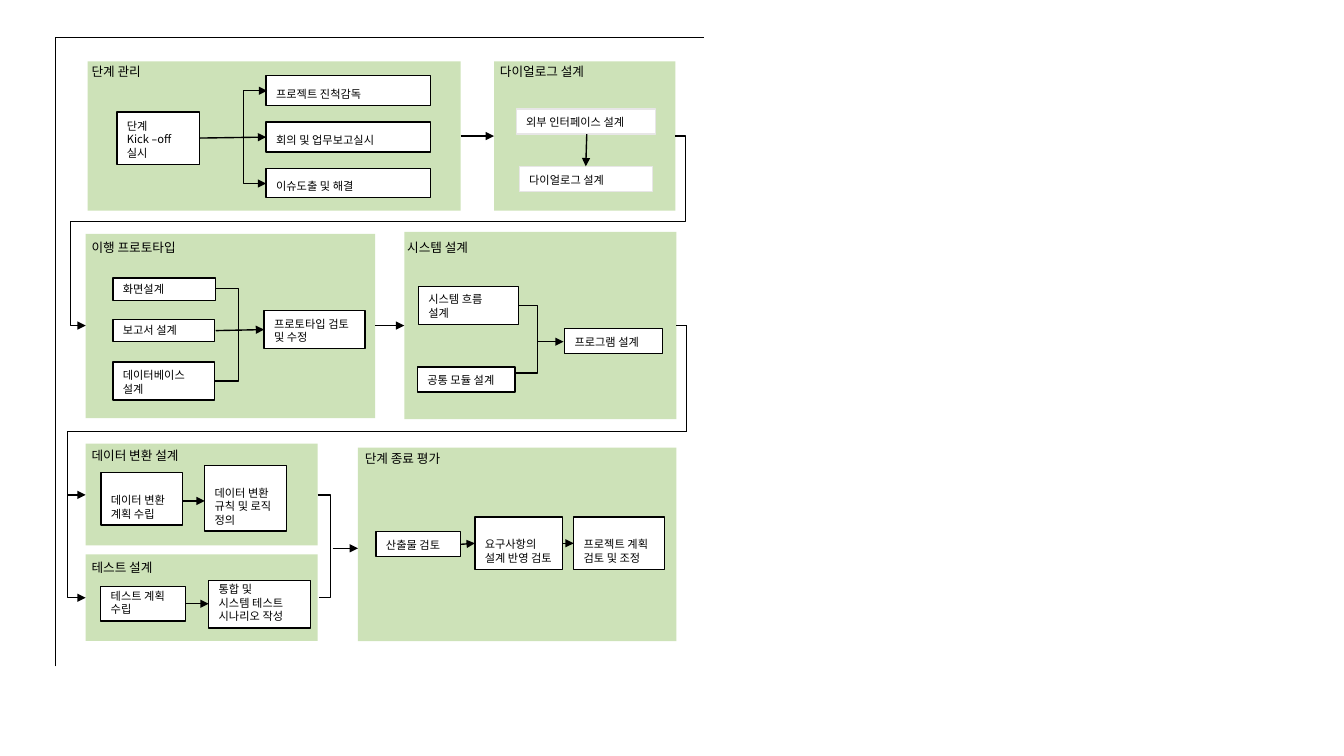
import itertools
from dataclasses import dataclass

import pptx
import pptx.dml.color
import pptx.enum.shapes
import pptx.enum.text
import pptx.oxml.ns
import pptx.slide
import pptx.util
from lxml import etree

Inches = pptx.util.Inches
RGBColor = pptx.dml.color.RGBColor

BLACK = RGBColor(0x00, 0x00, 0x00)
WHITE = RGBColor(0xFF, 0xFF, 0xFF)
GREY = RGBColor(0xE7, 0xE6, 0xE6)
GREEN = RGBColor(0xCD, 0xE2, 0xB8)
KOREAN_FONT = "Noto Sans CJK KR"
DASH_FONT = "DejaVu Sans"


@dataclass(frozen=True)
class Stage:
    title: str
    title_at: tuple[float, float, float]
    area: tuple[float, float, float, float]


@dataclass(frozen=True)
class Task:
    text: str
    area: tuple[float, float, float, float]
    border: RGBColor = BLACK


@dataclass(frozen=True)
class Flow:
    start: tuple[float, float]
    end: tuple[float, float]
    bends: tuple[float, ...] = ()
    head: bool = False
    tail: bool = True


STAGES = [
    Stage("다이얼로그 설계", (4.86, 0.58, 1.12), (4.9, 0.61, 1.8, 1.48)),
    Stage("이행 프로토타입", (0.81, 2.33, 1.12), (0.85, 2.32, 2.87, 1.83)),
    Stage("시스템 설계", (3.94, 2.33, 0.87), (4.01, 2.3, 2.7, 1.86)),
    Stage("단계 관리", (0.81, 0.58, 0.74), (0.87, 0.61, 3.7, 1.48)),
    Stage("단계 종료 평가", (3.52, 4.42, 1.03), (3.55, 4.44, 3.16, 1.92)),
    Stage("데이터 변환 설계", (0.81, 4.39, 1.16), (0.85, 4.4, 2.3, 1.01)),
    Stage("테스트 설계", (0.81, 5.5, 0.87), (0.85, 5.5, 2.3, 0.86)),
]

TASKS = [
    Task("외부 인터페이스 설계", (5.12, 1.08, 1.38, 0.25), GREY),
    Task("다이얼로그 설계", (5.15, 1.65, 1.32, 0.25), GREY),
    Task("데이터베이스\n설계", (1.12, 3.59, 1.01, 0.38)),
    Task("화면설계", (1.12, 2.76, 1.02, 0.22)),
    Task("보고서 설계", (1.12, 3.17, 1.01, 0.22)),
    Task("프로토타입 검토 및 수정", (2.62, 3.08, 1.0, 0.38)),
    Task("단계\nKick –off 실시", (1.16, 1.11, 0.82, 0.52)),
    Task("프로젝트 진척감독", (2.64, 0.75, 1.63, 0.3)),
    Task("회의 및 업무보고실시", (2.64, 1.21, 1.63, 0.3)),
    Task("이슈도출 및 해결", (2.64, 1.67, 1.63, 0.29)),
    Task("시스템 흐름\n설계", (4.15, 2.84, 0.99, 0.38)),
    Task("공통 모듈 설계", (4.14, 3.64, 0.97, 0.25)),
    Task("프로그램 설계", (5.6, 3.26, 0.97, 0.25)),
    Task("산출물 검토", (3.73, 5.27, 0.84, 0.25)),
    Task("요구사항의 설계 반영 검토", (4.71, 5.13, 0.87, 0.52)),
    Task("프로젝트 계획 검토 및 조정", (5.69, 5.13, 0.9, 0.52)),
    Task("데이터 변환 계획 수립", (1.0, 4.69, 0.81, 0.52)),
    Task("데이터 변환 규칙 및 로직 정의", (2.03, 4.62, 0.81, 0.65)),
    Task("테스트 계획 수립", (1.0, 5.82, 0.84, 0.34)),
    Task("통합 및\n시스템 테스트 시나리오 작성", (2.07, 5.76, 1.01, 0.47)),
]

FLOWS = [
    Flow((4.57, 1.35), (4.9, 1.35)),
    Flow((6.7, 1.35), (0.85, 3.23), (6.8, 2.2, 0.7)),
    Flow((6.71, 3.23), (0.85, 4.91), (6.81, 4.28, 0.67)),
    Flow((6.71, 3.23), (0.85, 5.93), (6.81, 4.28, 0.67)),
    Flow((2.65, 0.9), (2.64, 1.82), (2.41,), head=True),
    Flow((1.98, 1.37), (2.64, 1.36)),
    Flow((1.81, 4.97), (2.03, 4.97)),
    Flow((2.14, 2.86), (2.13, 3.78), (2.37,), tail=False),
    Flow((2.14, 3.28), (2.62, 3.27)),
    Flow((5.14, 3.03), (5.11, 3.7), (5.33,), tail=False),
    Flow((5.33, 3.39), (5.59, 3.39)),
    Flow((5.82, 1.33), (5.81, 1.65)),
    Flow((3.72, 3.23), (4.01, 3.23)),
    Flow((4.57, 5.4), (4.71, 5.39)),
    Flow((1.84, 5.99), (2.07, 5.99)),
    Flow((5.58, 5.39), (5.69, 5.39)),
    Flow((3.15, 4.91), (3.16, 5.93), (3.28,), tail=False),
    Flow((3.3, 5.44), (3.55, 5.44)),
]


def write_text(frame: pptx.text.text.TextFrame, text: str, size: float, wrap: bool) -> None:
    """Fill a frame with bottom-anchored paragraphs."""
    frame.word_wrap = wrap
    frame.vertical_anchor = pptx.enum.text.MSO_ANCHOR.BOTTOM
    for index, line in enumerate(text.split("\n")):
        paragraph = frame.add_paragraph() if index else frame.paragraphs[0]
        paragraph.alignment = pptx.enum.text.PP_ALIGN.LEFT
        for is_dash, letters in itertools.groupby(line, key=lambda letter: letter == "–"):
            run = paragraph.add_run()
            run.text = "".join(letters)
            run.font.size = pptx.util.Pt(size)
            run.font.color.rgb = BLACK
            run.font.name = DASH_FONT if is_dash else KOREAN_FONT
            east_asian = etree.SubElement(run.font._element, pptx.oxml.ns.qn("a:ea"))
            east_asian.set("typeface", run.font.name)


def add_box(slide: pptx.slide.Slide, area: tuple[float, ...], fill: RGBColor) -> pptx.shapes.autoshape.Shape:
    """Draw a flat rectangle without a border."""
    box = slide.shapes.add_shape(pptx.enum.shapes.MSO_SHAPE.RECTANGLE, *map(Inches, area))
    box.shadow.inherit = False
    box.fill.solid()
    box.fill.fore_color.rgb = fill
    box.line.fill.background()
    return box


def add_stage(slide: pptx.slide.Slide, stage: Stage) -> None:
    """Draw a green stage panel and its title."""
    add_box(slide, stage.area, GREEN)
    title = slide.shapes.add_textbox(*map(Inches, (*stage.title_at, 0.25)))
    write_text(title.text_frame, stage.title, 9, wrap=False)


def add_task(slide: pptx.slide.Slide, task: Task) -> None:
    """Draw a white task box."""
    box = add_box(slide, task.area, WHITE)
    box.line.color.rgb = task.border
    box.line.width = pptx.util.Pt(1)
    write_text(box.text_frame, task.text, 8, wrap=True)


def add_flow(slide: pptx.slide.Slide, flow: Flow) -> None:
    """Draw a straight or bent connector through its bends."""
    qn = pptx.oxml.ns.qn
    kinds = pptx.enum.shapes.MSO_CONNECTOR
    kind = kinds.ELBOW if flow.bends else kinds.STRAIGHT
    connector = slide.shapes.add_connector(kind, *map(Inches, (*flow.start, *flow.end)))
    connector.line.color.rgb = BLACK
    connector.line.width = pptx.util.Pt(1)
    properties = connector._element.spPr
    etree.SubElement(properties, qn("a:effectLst"))
    if flow.bends:
        geometry = properties.find(qn("a:prstGeom"))
        geometry.set("prst", f"bentConnector{len(flow.bends) + 2}")
        guides = geometry.find(qn("a:avLst"))
        for index, bend in enumerate(flow.bends):
            axis = index % 2
            share = (bend - flow.start[axis]) / (flow.end[axis] - flow.start[axis])
            guide = etree.SubElement(guides, qn("a:gd"))
            guide.set("name", f"adj{index + 1}" if len(flow.bends) > 1 else "adj1")
            guide.set("fmla", f"val {round(share * 100000)}")
    line = properties.find(qn("a:ln"))
    for tag, shown in (("a:headEnd", flow.head), ("a:tailEnd", flow.tail)):
        if shown:
            arrow = etree.SubElement(line, qn(tag))
            arrow.set("type", "triangle")
            arrow.set("w", "med")
            arrow.set("len", "med")


def add_frame(slide: pptx.slide.Slide) -> None:
    """Draw the open frame on the left and top."""
    corner, top = Inches(0.55), Inches(0.37)
    builder = slide.shapes.build_freeform(corner, Inches(6.61))
    builder.add_line_segments([(corner, top), (Inches(6.98), top)], close=False)
    frame = builder.convert_to_shape()
    frame.shadow.inherit = False
    frame.fill.background()
    frame.line.color.rgb = BLACK
    frame.line.width = pptx.util.Pt(0.75)


def main() -> None:
    """Build the process slide and save it."""
    deck = pptx.Presentation()
    deck.slide_width, deck.slide_height = Inches(13.33), Inches(7.5)
    slide = deck.slides.add_slide(deck.slide_layouts[6])
    add_frame(slide)
    for stage in STAGES:
        add_stage(slide, stage)
    for task in TASKS:
        add_task(slide, task)
    for flow in FLOWS:
        add_flow(slide, flow)
    deck.save("out.pptx")


if __name__ == "__main__":
    main()
